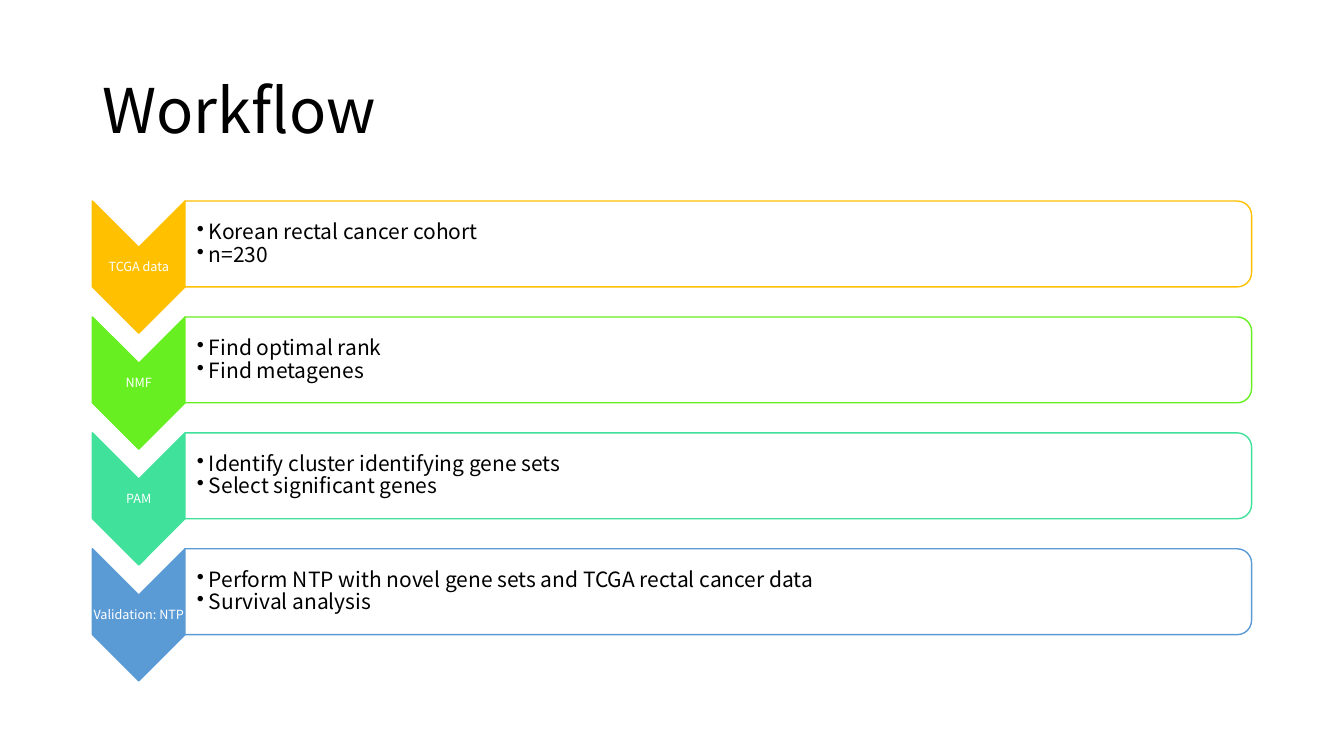
"""Build the Workflow slide: four chevron stages, each with a bullet panel."""
from lxml import etree
from pptx import Presentation
from pptx.dml.color import RGBColor
from pptx.enum import shapes, text
from pptx.oxml.ns import qn
from pptx.util import Pt

FONT = "Noto Sans CJK KR"
STAGES = [
    ("TCGA data", "FFC000", ["Korean rectal cancer cohort", "n=230"]),
    ("NMF", "67EF21", ["Find optimal rank", "Find metagenes"]),
    ("PAM", "3FE19B", ["Identify cluster identifying gene sets", "Select significant genes"]),
    ("Validation: NTP", "5B9BD5",
     ["Perform NTP with novel gene sets and TCGA rectal cancer data", "Survival analysis"]),
]


def color(value):
    """Return the colour for a hex string."""
    return RGBColor.from_string(value)


def write(tf, lines, size, ink, align):
    """Fill a text frame with equally formatted, vertically centred lines."""
    tf.text = "\n".join(lines)
    tf.vertical_anchor = text.MSO_ANCHOR.MIDDLE
    tf.word_wrap = True
    for p in tf.paragraphs:
        p.alignment = align
        p.line_spacing = 0.9
        p.space_before = p.space_after = Pt(0)
        for r in p.runs:
            r.font.name = FONT
            r.font.size = Pt(size)
            r.font.color.rgb = color(ink)


def add_label(s, box, lines, size, ink, align, inset=0.72):
    """Add a text box with narrow margins and return its text frame."""
    tf = s.shapes.add_textbox(*map(Pt, box)).text_frame
    write(tf, lines, size, ink, align)
    tf.margin_left = Pt(inset)
    tf.margin_top = tf.margin_right = tf.margin_bottom = Pt(0.72)
    return tf


def add_turned(s, kind, box, fill, line):
    """Add a shape turned a quarter clockwise so that it covers the box."""
    x, y, w, h = box
    sp = s.shapes.add_shape(kind, Pt(x + (w - h) / 2), Pt(y + (h - w) / 2), Pt(h), Pt(w))
    sp.rotation = 90
    sp.shadow.inherit = False
    sp.fill.solid()
    sp.fill.fore_color.rgb = color(fill)
    sp.line.color.rgb = color(line)
    sp.line.width = Pt(1)


def add_bullets(tf, indent):
    """Give every paragraph a hanging round bullet."""
    for p in tf.paragraphs:
        pPr = p._p.get_or_add_pPr()
        pPr.set("marL", str(Pt(indent)))
        pPr.set("indent", str(-Pt(indent)))
        etree.SubElement(pPr, qn("a:buChar"), char="•")


def add_title(s, box, title):
    """Place and format the title placeholder."""
    sp = s.shapes.title
    sp.left, sp.top, sp.width, sp.height = map(Pt, box)
    write(sp.text_frame, [title], 44, "000000", text.PP_ALIGN.LEFT)


def add_stage(s, box, name, accent, steps):
    """Add one stage: a named chevron and the panel listing its steps."""
    x, y, w, h = box
    arrow = 66.2
    panel = 61.3
    add_turned(s, shapes.MSO_SHAPE.CHEVRON, (x, y, arrow, h), accent, accent)
    add_label(s, (x, y + arrow / 2, arrow, h - arrow), [name], 9, "FFFFFF",
              text.PP_ALIGN.CENTER)
    area = (x + arrow, y, w - arrow, panel)
    add_turned(s, shapes.MSO_SHAPE.ROUND_2_SAME_RECTANGLE, area, "FFFFFF", accent)
    tf = add_label(s, area, steps, 15, "000000", text.PP_ALIGN.LEFT, 8.5)
    add_bullets(tf, 8.5)


def add_workflow(s, box, stages):
    """Stack the stages down the box so that the last one ends at its foot."""
    x, y, w, h = box
    stage = 94.4
    pitch = (h - stage) / (len(stages) - 1)
    for i, (name, accent, steps) in enumerate(stages):
        add_stage(s, (x, y + i * pitch, w, stage), name, accent, steps)


prs = Presentation()
prs.slide_width, prs.slide_height = Pt(960), Pt(540)
s = prs.slides.add_slide(prs.slide_layouts[5])
add_title(s, (66, 29, 828, 104.4), "Workflow")
add_workflow(s, (66, 143.6, 828, 342.8), STAGES)
prs.save("out.pptx")
